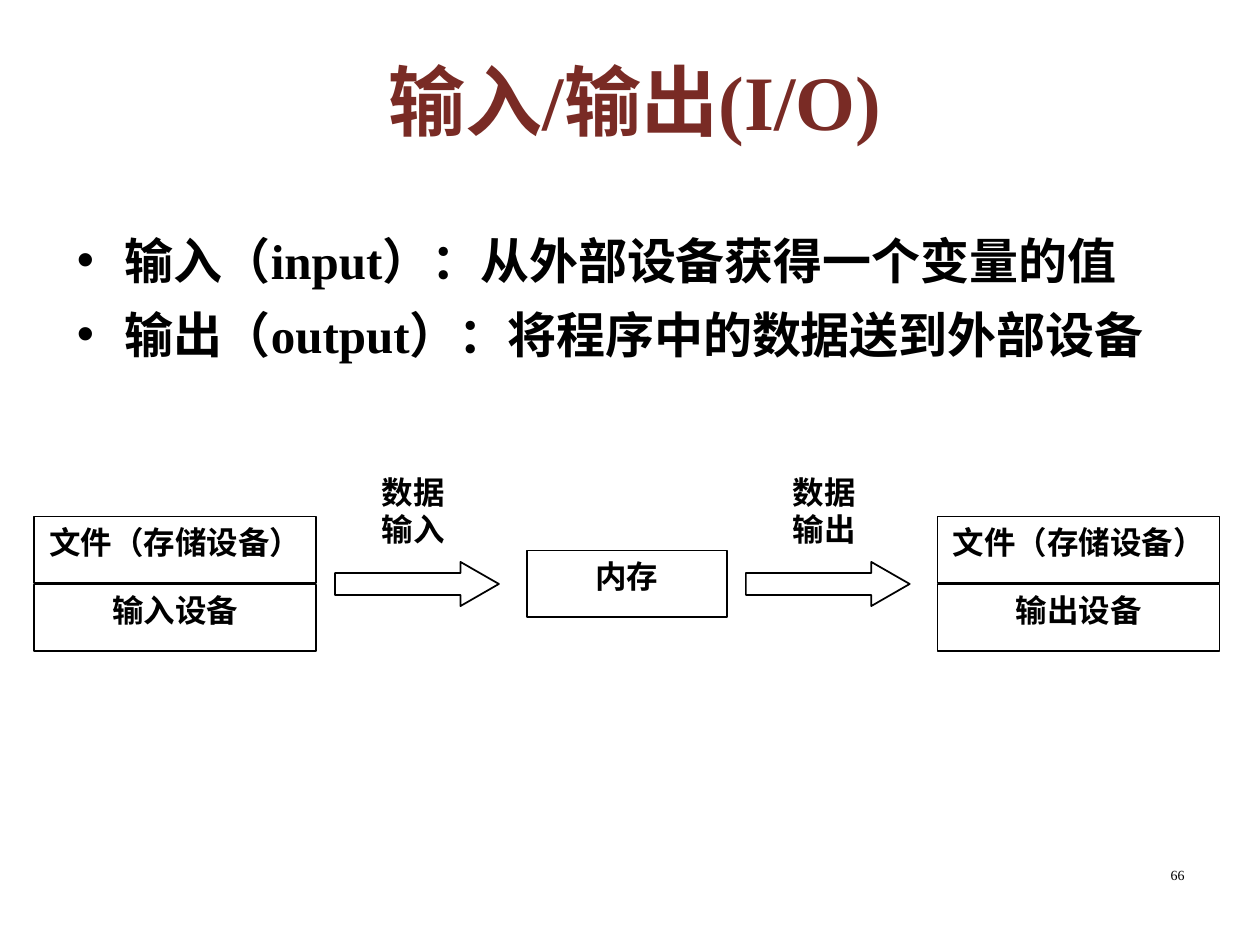
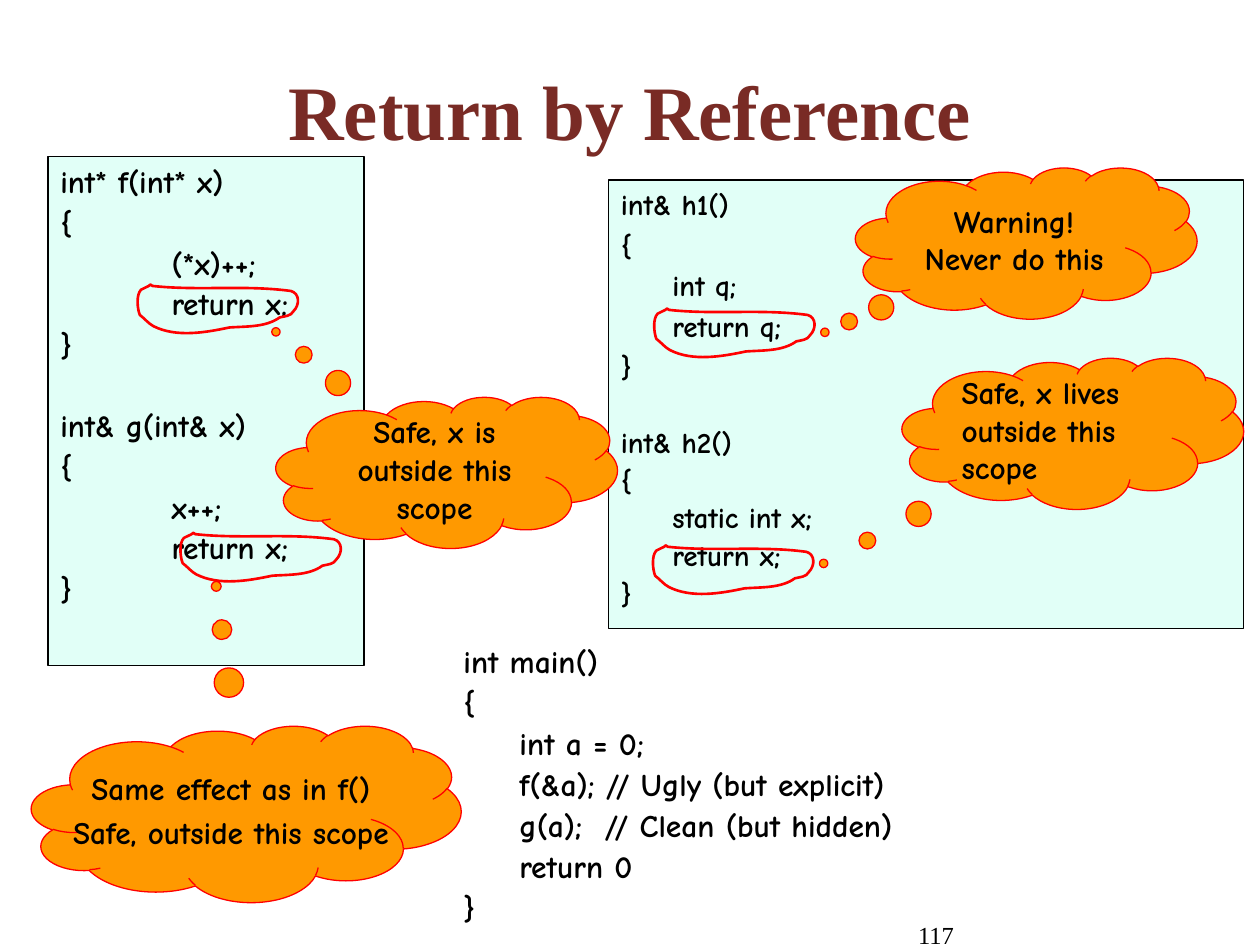
from pptx import Presentation
from pptx.dml.color import RGBColor as Rgb
from pptx.enum.shapes import MSO_SHAPE as Kind
from pptx.enum.text import MSO_ANCHOR as Anchor, MSO_AUTO_SIZE as Auto, PP_ALIGN as Align
from pptx.oxml.ns import qn
from pptx.util import Inches, Pt

INK = {"title": "792B25", "text": "000000", "code": "E1FFF7",
       "cloud": "FF9900", "mark": "FF0000"}
SERIF, MONO, COMIC = "Times New Roman", "Courier New", "Comic Neue"

# Hand-drawn ring: a start point, then cubic curves (two controls, one end).
START = (0.13, 0.02)
CURVES = [
    (0.5, 0.06), (0.86, 0.01), (1.23, 0.06),
    (1.3, 0.08), (1.3, 0.17), (1.25, 0.22),
    (1.23, 0.26), (1.18, 0.26), (1.14, 0.27),
    (1.03, 0.35), (0.87, 0.34), (0.74, 0.35),
    (0.55, 0.39), (0.32, 0.43), (0.14, 0.34),
    (0.1, 0.32), (0.07, 0.28), (0.03, 0.25),
    (0.01, 0.2), (0, 0.09), (0.04, 0.05),
    (0.05, 0.04), (0.07, 0.04), (0.08, 0.03),
    (0.13, 0.01), (0.1, 0), START,
]


def bend(item):
    """Turn each three straight segments of a freeform into one cubic curve."""
    lines = list(item._element.iter(qn("a:lnTo")))
    for i in range(0, len(lines), 3):
        first, *rest = lines[i:i + 3]
        curve = first.makeelement(qn("a:cubicBezTo"), {})
        first.addprevious(curve)
        for line in (first, *rest):
            curve.append(line[0])
            line.getparent().remove(line)


def write(frame, lines, size=18, font=SERIF, bold=True, color="text",
          align=Align.LEFT, gap=0, lead=0):
    """Append lines; gap and lead (before the first) are percents of the size."""
    for i, line in enumerate(lines):
        fresh = not frame.text
        para = frame.paragraphs[0] if fresh else frame.add_paragraph()
        part = lead if i == 0 and lead else gap
        para.space_before = Pt(0 if fresh else round(size * part / 100, 1))
        para.alignment = align
        run = para.add_run()
        run.text = line
        run.font.size, run.font.name, run.font.bold = Pt(size), font, bold
        run.font.color.rgb = Rgb.from_string(INK[color])


class Deck:
    def __init__(self):
        self.prs = Presentation()
        self.prs.slide_width, self.prs.slide_height = Inches(10), Inches(7.5)

    def page(self, layout, title, box):
        self.slide = self.prs.slides.add_slide(self.prs.slide_layouts[layout])
        self.hold(self.slide.shapes.title, box, [title], size=44, color="title",
                  align=Align.CENTER, anchor=Anchor.MIDDLE)

    def hold(self, item, box, lines, anchor=Anchor.TOP, **fmt):
        """Place and fill a placeholder."""
        item.left, item.top, item.width, item.height = map(Inches, box)
        frame = item.text_frame
        frame.auto_size, frame.vertical_anchor = Auto.NONE, anchor
        write(frame, lines, **fmt)

    def label(self, box, lines, inset=None, **fmt):
        frame = self.slide.shapes.add_textbox(*map(Inches, box)).text_frame
        frame.word_wrap = True
        if inset is not None:
            frame.margin_left = frame.margin_right = Inches(inset)
            frame.margin_top = frame.margin_bottom = Inches(inset)
        write(frame, lines, **fmt)

    def paint(self, item, fill, line, width):
        item.shadow.inherit = False
        if fill:
            item.fill.solid()
            item.fill.fore_color.rgb = Rgb.from_string(INK[fill])
        else:
            item.fill.background()
        item.line.color.rgb = Rgb.from_string(INK[line])
        item.line.width = Pt(width)

    def shape(self, kind, box, lines=(), fill=None, line="text", width=1,
              adj=(), anchor=Anchor.TOP, wrap=True, **fmt):
        item = self.slide.shapes.add_shape(kind, *map(Inches, box))
        for i, value in enumerate(adj):
            item.adjustments[i] = value
        self.paint(item, fill, line, width)
        frame = item.text_frame
        frame.word_wrap, frame.vertical_anchor = wrap, anchor
        write(frame, lines, **fmt)
        return frame

    def node(self, box, word):
        self.shape(Kind.RECTANGLE, box, [word], font=MONO, align=Align.CENTER)

    def code(self, box, size, first, second, gap):
        """Draw a panel with two functions, a line's height apart."""
        frame = self.shape(Kind.RECTANGLE, box, first, fill="code", width=0.75,
                           size=size, font=COMIC, gap=gap)
        write(frame, second, size=size, font=COMIC, gap=10, lead=139)

    def ring(self, x, y):
        def spot(p):
            return Inches(x + p[0]), Inches(y + p[1])
        path = self.slide.shapes.build_freeform(*spot(START))
        path.add_line_segments([spot(p) for p in CURVES], close=True)
        item = path.convert_to_shape()
        bend(item)
        self.paint(item, None, "mark", 1.5)

    def cloud(self, box, tail, lines, align=Align.CENTER, wrap=True):
        self.shape(Kind.CLOUD_CALLOUT, box, lines, fill="cloud", line="mark",
                   width=0.75, adj=tail, anchor=Anchor.MIDDLE, wrap=wrap,
                   size=17.9, font=COMIC, align=align, gap=20)

    def number(self, box, text, size):
        self.label(box, [text], size=size, bold=False, align=Align.RIGHT)


def flow(deck):
    deck.page(1, "输入/输出(I/O)", (0.75, 0.44, 8.58, 0.71))
    deck.number((7.17, 6.83, 2.33, 0.52), "66", 8)
    deck.hold(deck.slide.placeholders[1], (0.51, 1.78, 9, 5.15),
              ["输入（input）：从外部设备获得一个变量的值",
               "输出（output）：将程序中的数据送到外部设备"], size=28, gap=30)
    for x, way in ((0.27, "输入"), (7.44, "输出")):
        for y, word in ((4.1, "文件（存储设备）"), (4.64, way + "设备")):
            deck.node((x, y, 2.24, 0.53), word)
    deck.node((4.18, 4.37, 1.59, 0.53), "内存")
    for x, way in ((2.66, "输入"), (5.92, "输出")):
        deck.shape(Kind.RIGHT_ARROW, (x, 4.46, 1.3, 0.35), adj=(0.5, 0.87))
        deck.label((x + 0.22, 3.75, 0.8, 0.71), ["数据", way], inset=0,
                   font=MONO, align=Align.CENTER)


def refs(deck):
    deck.page(5, "Return by Reference", (0.5, 0.33, 9, 1.08))
    deck.number((6.75, 7.25, 0.92, 0.25), "117", 14)
    deck.code((0.38, 1.24, 2.51, 4.04), 17.9,
              ["int* f(int* x)", "{", "          (*x)++;",
               "          return x;", "}"],
              ["int& g(int& x)", "{", "          x++;",
               "          return x;", "}"], gap=10)
    deck.code((4.83, 1.43, 5.04, 3.56), 16.6,
              ["int& h1()", "{", "     int q;", "     return q;", "}"],
              ["int& h2()", "{", "     static int x;", "     return x;", "}"],
              gap=20)
    wide, high = 2.71, 1.2
    deck.ring(1.08, 2.25)
    deck.cloud((2.19, 3.15, wide, high), (-0.5, -0.93),
               ["Safe, x is outside this scope"])
    deck.ring(1.42, 4.22)
    deck.cloud((0.25, 5.76, 3.41, 1.4), (-0.07, -1.29),
               ["Same effect as in f()", "Safe, outside this scope"], wrap=False)
    deck.ring(5.18, 2.44)
    deck.cloud((6.79, 1.33, wide, high), (-0.59, 0.59),
               ["Warning! Never do this"])
    deck.ring(5.17, 4.32)
    deck.cloud((7.16, 2.84, wide, high), (-0.73, 0.86),
               ["Safe, x lives outside this scope"], align=Align.LEFT)
    deck.label((3.58, 5.05, 5, 2.4),
               ["int main()", "{", "     int a = 0;",
                "     f(&a); // Ugly (but explicit)",
                "     g(a);  // Clean (but hidden)", "     return 0", "}"],
               font=COMIC, gap=10)


def main():
    deck = Deck()
    flow(deck)
    refs(deck)
    deck.prs.save("out.pptx")


if __name__ == "__main__":
    main()
